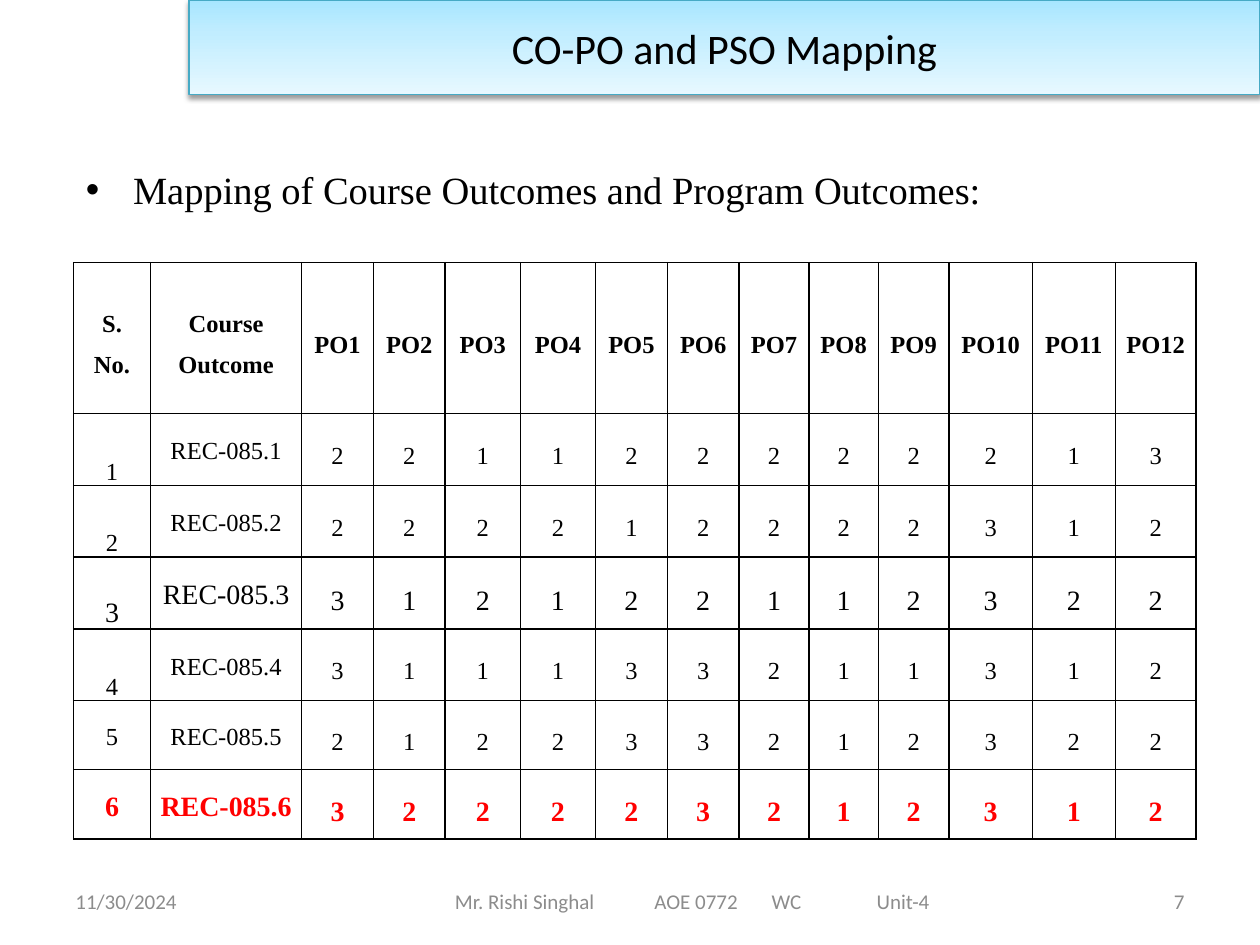
from lxml import etree
from pptx import Presentation
from pptx.dml.color import RGBColor
from pptx.enum import shapes, text
from pptx.oxml import ns
from pptx.util import Pt

BLACK = RGBColor(0, 0, 0)
RED = RGBColor(0xFF, 0, 0)
GRAY = RGBColor(0x8C, 0x8C, 0x8C)
TEAL = RGBColor(0x46, 0xAA, 0xC5)
BANNER_STOPS = [
    (0, RGBColor(0xA7, 0xE6, 0xFF)),
    (35, RGBColor(0xC1, 0xED, 0xFF)),
    (100, RGBColor(0xE7, 0xF8, 0xFF)),
]
SERIF = "Times New Roman"
SANS = "Calibri"

COLUMN_WIDTHS = [44, 86.4, 41, 41, 43, 43, 41, 41, 40, 39.6, 40.4, 47.6, 47.4, 46.2]
ROW_HEIGHTS = [86.4, 41, 41, 41, 41, 39.5, 39.5]
HEADINGS = ["S. No.", "Course Outcome"] + [f"PO{number}" for number in range(1, 13)]
OUTCOME_LEVELS = [
    "221122222213",
    "222212222312",
    "312122112322",
    "311133211312",
    "212233212322",
    "322223212312",
]


def add_element(parent, tag, **attributes):
    element = etree.SubElement(parent, ns.qn(tag))
    for name, value in attributes.items():
        element.set(name, str(value))
    return element


def set_font(paragraph, name, size, color, bold=False):
    font = paragraph.font
    font.name = name
    font.size = Pt(size)
    font.color.rgb = color
    font.bold = bold


def add_text_box(slide, left, top, width, height):
    box = slide.shapes.add_textbox(Pt(left), Pt(top), Pt(width), Pt(height))
    box.text_frame.word_wrap = True
    return box.text_frame


def add_title_banner(slide, left, top, width, height):
    banner = slide.shapes.add_shape(
        shapes.MSO_SHAPE.RECTANGLE, Pt(left), Pt(top), Pt(width), Pt(height)
    )
    banner.fill.gradient()
    banner.fill.gradient_angle = 270
    properties = banner._element.spPr
    stop_list = properties.find(".//" + ns.qn("a:gsLst"))
    for stop in list(stop_list):
        stop_list.remove(stop)
    for position, color in BANNER_STOPS:
        stop = add_element(stop_list, "a:gs", pos=position * 1000)
        add_element(stop, "a:srgbClr", val=color)
    banner.line.color.rgb = TEAL
    banner.line.width = Pt(0.75)
    banner.shadow.inherit = False
    shadow = add_element(
        properties.find(ns.qn("a:effectLst")), "a:outerShdw",
        blurRad=Pt(3.1), dist=Pt(1.6), dir=90 * 60000, rotWithShape=0,
    )
    shadow_color = add_element(shadow, "a:srgbClr", val=BLACK)
    add_element(shadow_color, "a:alpha", val=38000)
    frame = banner.text_frame
    frame.vertical_anchor = text.MSO_ANCHOR.MIDDLE
    paragraph = frame.paragraphs[0]
    paragraph.text = "CO-PO and PSO Mapping"
    paragraph.alignment = text.PP_ALIGN.CENTER
    set_font(paragraph, SANS, 24, BLACK)


def add_body(slide, left, top, width, height):
    frame = add_text_box(slide, left, top, width, height)
    frame.margin_top = Pt(5)
    paragraph = frame.paragraphs[0]
    paragraph.text = "Mapping of Course Outcomes and Program Outcomes:"
    properties = paragraph._p.get_or_add_pPr()
    properties.set("marL", str(Pt(27)))
    properties.set("indent", str(Pt(-27)))
    add_element(properties, "a:buFont", typeface="Arial")
    add_element(properties, "a:buChar", char="•")
    set_font(paragraph, SERIF, 22, BLACK)


def add_cell_borders(cell):
    properties = cell._tc.get_or_add_tcPr()
    for index, side in enumerate(("a:lnL", "a:lnR", "a:lnT", "a:lnB")):
        line = etree.Element(ns.qn(side), w=str(Pt(1)))
        fill = add_element(line, "a:solidFill")
        add_element(fill, "a:srgbClr", val=BLACK)
        properties.insert(index, line)


def fill_cell(cell, value, size, color, bold, spacing, anchor):
    cell.fill.background()
    add_cell_borders(cell)
    cell.margin_left = cell.margin_right = Pt(5)
    cell.margin_top = cell.margin_bottom = Pt(0)
    cell.vertical_anchor = anchor
    paragraph = cell.text_frame.paragraphs[0]
    paragraph.text = value
    paragraph.alignment = text.PP_ALIGN.CENTER
    paragraph.line_spacing = spacing
    set_font(paragraph, SERIF, size, color, bold)
    return paragraph


def add_mapping_table(slide, left, top):
    table = slide.shapes.add_table(
        len(ROW_HEIGHTS), len(COLUMN_WIDTHS), Pt(left), Pt(top),
        Pt(sum(COLUMN_WIDTHS)), Pt(sum(ROW_HEIGHTS)),
    ).table
    table.first_row = table.horz_banding = False
    for column, width in zip(table.columns, COLUMN_WIDTHS):
        column.width = Pt(width)
    for row, height in zip(table.rows, ROW_HEIGHTS):
        row.height = Pt(height)

    middle = text.MSO_ANCHOR.MIDDLE
    for cell, heading in zip(table.rows[0].cells, HEADINGS):
        paragraph = fill_cell(cell, heading, 14, BLACK, True, 1.5, middle)
        paragraph.space_after = Pt(10)

    for number, levels in enumerate(OUTCOME_LEVELS, start=1):
        size = 16 if number in (3, 6) else 14
        highlighted = number == 6
        color = RED if highlighted else BLACK
        values = [str(number), f"REC-085.{number}", *levels]
        for index, value in enumerate(values):
            spacing = 1.15 if index < 2 else 1.5
            low = index == 0 and number < 5
            anchor = text.MSO_ANCHOR.BOTTOM if low else middle
            fill_cell(table.cell(number, index), value, size, color,
                      highlighted, spacing, anchor)


def add_footer_text(slide, value, left, top, width, height, alignment):
    frame = add_text_box(slide, left, top, width, height)
    frame.vertical_anchor = text.MSO_ANCHOR.MIDDLE
    paragraph = frame.paragraphs[0]
    paragraph.text = value
    paragraph.alignment = alignment
    return frame


def add_footer(slide, left, top, width, height):
    align = text.PP_ALIGN
    side = 168
    date = add_footer_text(slide, "11/30/2024", left, top, side, height, align.LEFT)
    course = add_footer_text(
        slide, "Mr. Rishi Singhal\tAOE 0772\tWC\tUnit-4",
        left + 162, top, width - 2 * 126, height, align.LEFT,
    )
    course.margin_left = Pt(62)
    tabs = add_element(course.paragraphs[0]._p.get_or_add_pPr(), "a:tabLst")
    for position in (114, 181, 241):
        add_element(tabs, "a:tab", pos=Pt(position), algn="l")
    page = add_footer_text(
        slide, "7", left + width - side, top, side, height, align.RIGHT
    )
    for frame in (date, course, page):
        set_font(frame.paragraphs[0], SANS, 12, GRAY)


def main():
    presentation = Presentation()
    presentation.slide_width = Pt(720)
    presentation.slide_height = Pt(540)
    slide = presentation.slides.add_slide(presentation.slide_layouts[6])
    add_body(slide, 42, 90, 648, 356)
    add_footer(slide, 36, 500.5, 648, 28.8)
    add_title_banner(slide, 108, 0, 612, 54)
    add_mapping_table(slide, 42, 150)
    presentation.save("out.pptx")


if __name__ == "__main__":
    main()
